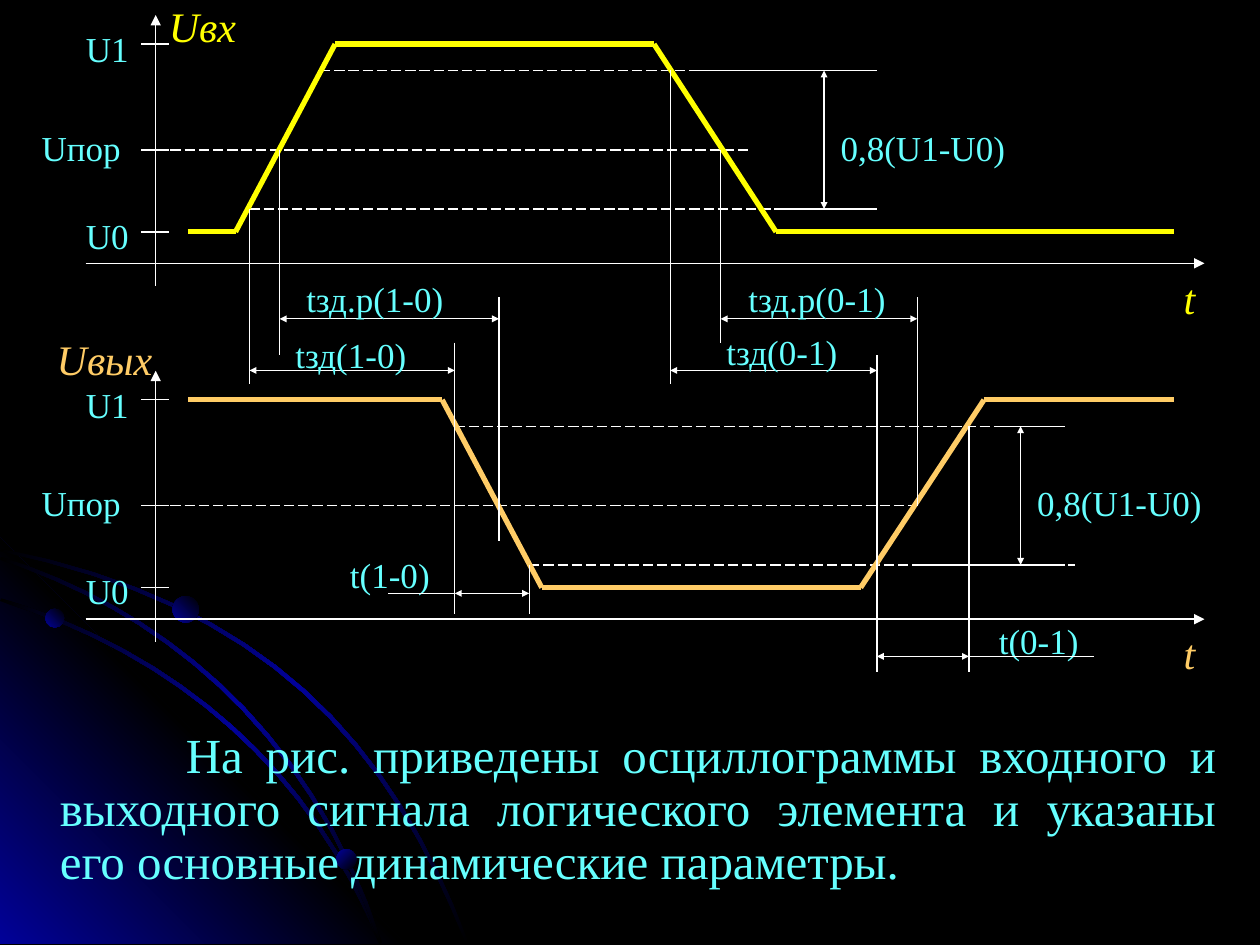
"""Build a slide with the input and output waveforms of a logic gate."""
from itertools import pairwise
from typing import NamedTuple

from lxml.etree import SubElement
from pptx import Presentation
from pptx.dml.color import RGBColor
from pptx.enum.dml import MSO_LINE as Dash
from pptx.enum.shapes import MSO_CONNECTOR as Link, MSO_SHAPE as Kind
from pptx.enum.text import MSO_AUTO_SIZE as Fit, PP_ALIGN as Align
from pptx.oxml.ns import qn
from pptx.util import Pt

BLACK, WHITE, BLUE = "000000", "FFFFFF", "010199"
CYAN, YELLOW, GOLD = "66FFFF", "FFFF00", "FFCC66"
FACE = "Times New Roman"
STORY = ("На рис. приведены осциллограммы входного и выходного сигнала "
         "логического элемента и указаны его основные динамические параметры.")
TOP, HIGH, MID, LOW, BASE, AXIS = 25.2, 40.3, 85.7, 119.5, 132.5, 150.5
DROP = 203.3
LEFT, RIGHT, FLOOR = 107.3, 671, 539.3
IN_LOW, IN_RISE, IN_HIGH, IN_FALL = 142.6, 159.8, 383, 411.8
OUT_HIGH, OUT_FALL, OUT_LOW = 259.9, 285.1, 302.4
BACK_LOW, BACK_RISE, BACK_HIGH = 501.1, 524.2, 553.7
UPPER, LOWER = 182.2, 211.7


class Note(NamedTuple):
    """A label with its box."""
    text: str
    x: float
    y: float
    w: float
    h: float = 20.9
    size: int = 20
    color: str = CYAN
    align: Align = Align.LEFT


class Rule(NamedTuple):
    """A straight line with its looks."""
    x1: float
    y1: float
    x2: float
    y2: float
    color: str = WHITE
    width: float = 0.75
    dash: bool = False
    ends: tuple = ()
    tip: str = "med"


class Level(NamedTuple):
    """A level line: dashed first, then solid."""
    y: float
    start: float
    stop: float
    solid: float
    end: float


class Plot(NamedTuple):
    """A signal that goes from rest to peak and back at four corners."""
    dy: float
    color: str
    name: Note
    rest: float
    peak: float
    turns: tuple
    mid: float
    levels: tuple
    span: float


class Delay(NamedTuple):
    """A time between two crossings, with its label."""
    x1: float
    x2: float
    y: float
    note: Note


class Ball(NamedTuple):
    """A shaded ball of the backdrop."""
    x: float
    y: float
    size: float
    turn: int


PLOTS = [
    Plot(0, YELLOW, Note("Uвх", 96.5, 0, 51.1, 20.2, 24, YELLOW),
         BASE, TOP, (134.6, 191.5, 373.7, 443.5), 427.7,
         (Level(HIGH, 182.9, 470.9, 395.3, 501.1),
          Level(LOW, IN_LOW, 501.1, 443.5, 501.1)), 470.9),
    Plot(DROP, GOLD, Note("Uвых", 32.4, 190.8, 64.1, 18, 24, GOLD),
         TOP, BASE, (252.7, 309.6, 491.8, 562.3), BACK_RISE,
         (Level(HIGH, OUT_HIGH, 608.4, 569.5, 608.4),
          Level(LOW, OUT_LOW, 614.2, BACK_RISE, 608.4)), 583.2),
]
GUIDES = [
    (IN_LOW, LOW, 219.6), (IN_RISE, MID, 203), (IN_HIGH, HIGH, 219.6),
    (IN_FALL, MID, 195.8), (OUT_HIGH, 195.8, 350.6), (OUT_LOW, LOW + DROP, 350.6),
    (OUT_FALL, 169.9, 308.9), (BACK_RISE, 169.9, MID + DROP),
    (BACK_LOW, 203, 383.8), (BACK_HIGH, HIGH + DROP, 383.8),
]
DELAYS = [
    Delay(IN_RISE, OUT_FALL, UPPER, Note("tзд.р(1-0)", 175, 158.4, 90)),
    Delay(IN_LOW, OUT_HIGH, LOWER, Note("tзд(1-0)", 155.5, 190.8, 90, align=Align.CENTER)),
    Delay(OUT_HIGH, OUT_LOW, 339.1, Note("t(1-0)", 191.5, 316.1, 62.6, align=Align.CENTER)),
    Delay(IN_FALL, BACK_RISE, UPPER, Note("tзд.р(0-1)", 427.7, 158.4, 90)),
    Delay(IN_HIGH, BACK_LOW, LOWER, Note("tзд(0-1)", 401.8, 188.6, 90, align=Align.CENTER)),
    Delay(BACK_LOW, BACK_HIGH, 375.1, Note("t(0-1)", 562.3, 354.2, 62.6, align=Align.CENTER)),
]
TAILS = [Rule(OUT_HIGH, 339.1, 221.8, 339.1), Rule(BACK_HIGH, 375.1, 625, 375.1)]
WEDGE = [(231.8, FLOOR), (0, FLOOR), (0, 307.4)]
ARCS = [
    ((0, 314.3), (151, 344.5), (223.3, 424.3), (267, FLOOR)),
    ((0, 342.7), (100.7, 372.9), (179.1, 440.8), (217.5, FLOOR)),
    ((0, 319), (85.7, 346.4), (175.9, 411.2), (217.5, FLOOR)),
]
BALLS = [Ball(25.9, 347.8, 10.8, 135), Ball(192.2, 485.3, 11.5, 225),
         Ball(98.6, 340.6, 15.1, 135)]


def rgb(code: str) -> RGBColor:
    """Turn a hex string into a colour."""
    return RGBColor.from_string(code)


def shade(shape, codes: list[str], turn: int) -> None:
    """Fill a shape with evenly spaced gradient stops."""
    grad = SubElement(shape._element.spPr, qn("a:gradFill"), rotWithShape="1")
    stops = SubElement(grad, qn("a:gsLst"))
    for i, code in enumerate(codes):
        stop = SubElement(stops, qn("a:gs"), pos=str(100000 * i // (len(codes) - 1)))
        SubElement(stop, qn("a:srgbClr"), val=code)
    SubElement(grad, qn("a:lin"), ang=str(turn * 60000), scaled="1")
    shape.line.fill.background()
    shape.shadow.inherit = False


def bend(knots: tuple, t: float) -> tuple[float, float]:
    """Give the point of a cubic Bezier curve at t."""
    s = 1 - t
    parts = (s ** 3, 3 * s * s * t, 3 * s * t * t, t ** 3)
    x, y = (sum(p * v for p, v in zip(parts, row)) for row in zip(*knots))
    return x, y


def ribbon(knots: tuple, steps: int = 16, half: float = 0.75) -> list:
    """Outline a thin band along a curve."""
    spine = [bend(knots, i / steps) for i in range(steps + 1)]
    over = [(x + half, y - half) for x, y in spine]
    under = [(max(x - half, 0), min(y + half, FLOOR)) for x, y in spine]
    return over + under[::-1]


def draw_form(shapes, spots: list, codes: list[str], turn: int) -> None:
    """Draw a closed outline with a gradient."""
    first, *rest = [(Pt(x), Pt(y)) for x, y in spots]
    form = shapes.build_freeform(*first)
    form.add_line_segments(rest, close=True)
    shade(form.convert_to_shape(), codes, turn)


def draw_scene(shapes) -> None:
    """Draw the glowing corner, its arcs and balls."""
    draw_form(shapes, WEDGE, [BLUE, BLACK, BLUE], 135)
    for arc in ARCS:
        draw_form(shapes, ribbon(arc), [BLACK, BLUE, BLACK], 225)
    for x, y, size, turn in BALLS:
        disc = shapes.add_shape(Kind.OVAL, Pt(x), Pt(y), Pt(size), Pt(size))
        shade(disc, [BLACK, BLUE], turn)


def draw_rule(shapes, rule: Rule) -> None:
    """Draw a line, dashed or with arrowheads."""
    link = shapes.add_connector(Link.STRAIGHT, *map(Pt, rule[:4]))
    link.line.color.rgb = rgb(rule.color)
    link.line.width = Pt(rule.width)
    if rule.dash:
        link.line.dash_style = Dash.LONG_DASH
    for end in rule.ends:
        SubElement(link.line._get_or_add_ln(), qn(f"a:{end}End"),
                   type="triangle", w=rule.tip, len=rule.tip)
    SubElement(link._element.spPr, qn("a:effectLst"))


def draw_span(shapes, *ends: float) -> None:
    """Draw a line with a small arrowhead at each end."""
    draw_rule(shapes, Rule(*ends, ends=("head", "tail"), tip="sm"))


def set_font(font, size: int, code: str) -> None:
    """Set face, size and colour."""
    font.name, font.size, font.color.rgb = FACE, Pt(size), rgb(code)


def draw_note(shapes, note: Note) -> None:
    """Draw a label, in italics if it is a large one."""
    frame = shapes.add_textbox(*map(Pt, note[1:5])).text_frame
    frame.margin_left = frame.margin_right = frame.margin_top = frame.margin_bottom = 0
    frame.word_wrap = True
    frame.text = note.text
    line = frame.paragraphs[0]
    line.alignment = note.align
    set_font(line.runs[0].font, note.size, note.color)
    line.runs[0].font.italic = note.size > 20


def draw_plot(shapes, plot: Plot) -> None:
    """Draw the axes, levels, curve and labels of one signal."""
    dy = plot.dy
    rules = [Rule(89, 163.4, 89, 8.6, ends=("tail",)),
             Rule(49, AXIS, 688.3, AXIS, ends=("tail",)),
             Rule(89.3, MID, plot.mid, MID, dash=True)]
    rules += [Rule(80.6, y, 96.5, y) for y in (TOP, MID, BASE)]
    for y, start, stop, solid, end in plot.levels:
        rules += [Rule(start, y, stop, y, dash=True), Rule(solid, y, end, y)]
    steps = (plot.rest, plot.rest, plot.peak, plot.peak, plot.rest, plot.rest)
    wave = zip((LEFT, *plot.turns, RIGHT), steps)
    rules += [Rule(*a, *b, plot.color, 3) for a, b in pairwise(wave)]
    for rule in rules:
        draw_rule(shapes, rule._replace(y1=rule.y1 + dy, y2=rule.y2 + dy))
    draw_span(shapes, plot.span, HIGH + dy, plot.span, LOW + dy)
    for note in (plot.name,
                 Note("U1", 49, 15.8 + dy, 30.2, 25.2),
                 Note("Uпор", 23.8, 72 + dy, 55.4),
                 Note("U0", 49, 122.4 + dy, 30.2, 25.2),
                 Note("0,8(U1-U0)", plot.span + 9.4, 72 + dy, 109.4),
                 Note("t", RIGHT, 155.5 + dy, 17.3, 25.2, 24, plot.color, Align.CENTER)):
        draw_note(shapes, note)


def draw_times(shapes) -> None:
    """Draw the guides and the delays between them."""
    for x, y1, y2 in GUIDES:
        draw_rule(shapes, Rule(x, y1, x, y2))
    for x1, x2, y, note in DELAYS:
        draw_span(shapes, x1, y, x2, y)
        draw_note(shapes, note)
    for tail in TAILS:
        draw_rule(shapes, tail)


def set_story(body) -> None:
    """Place and format the body text."""
    body.left, body.top, body.width, body.height = map(Pt, (0, 414, 702, 102.2))
    frame = body.text_frame
    frame.auto_size = Fit.NONE
    frame.text = STORY
    line = frame.paragraphs[0]
    props = line._p.get_or_add_pPr()
    props.set("marL", str(Pt(27)))
    props.set("indent", str(Pt(72)))
    line.alignment, line.line_spacing, line.space_before = Align.JUSTIFY, 0.9, Pt(0)
    SubElement(props, qn("a:buNone"))
    set_font(line.runs[0].font, 28, CYAN)


def main() -> None:
    """Build and save the slide."""
    deck = Presentation()
    deck.slide_width, deck.slide_height = Pt(720), Pt(540)
    slide = deck.slides.add_slide(deck.slide_layouts[1])
    slide.background.fill.solid()
    slide.background.fill.fore_color.rgb = rgb(BLACK)
    shapes = slide.shapes
    title, body = slide.placeholders
    shapes._spTree.remove(title._element)
    draw_scene(shapes)
    shapes._spTree.append(body._element)
    set_story(body)
    for plot in PLOTS:
        draw_plot(shapes, plot)
    draw_times(shapes)
    deck.save("out.pptx")


if __name__ == "__main__":
    main()
